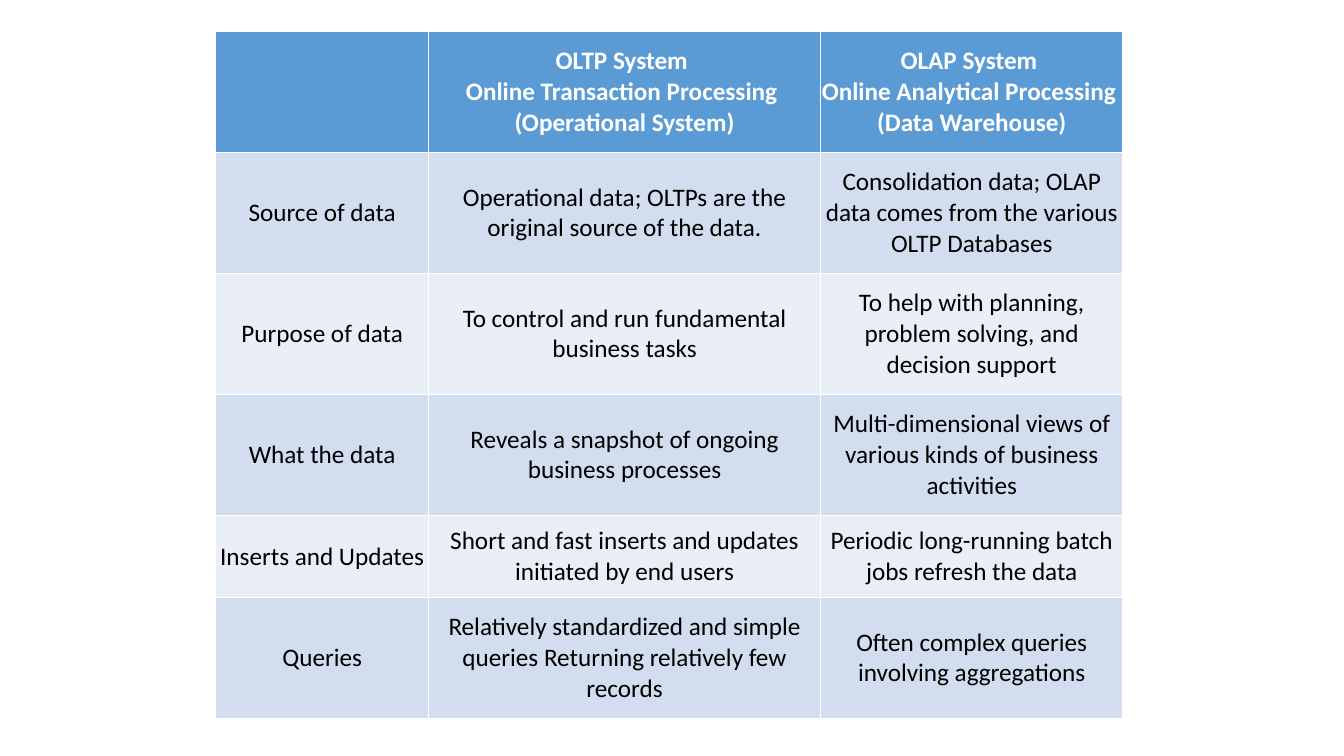
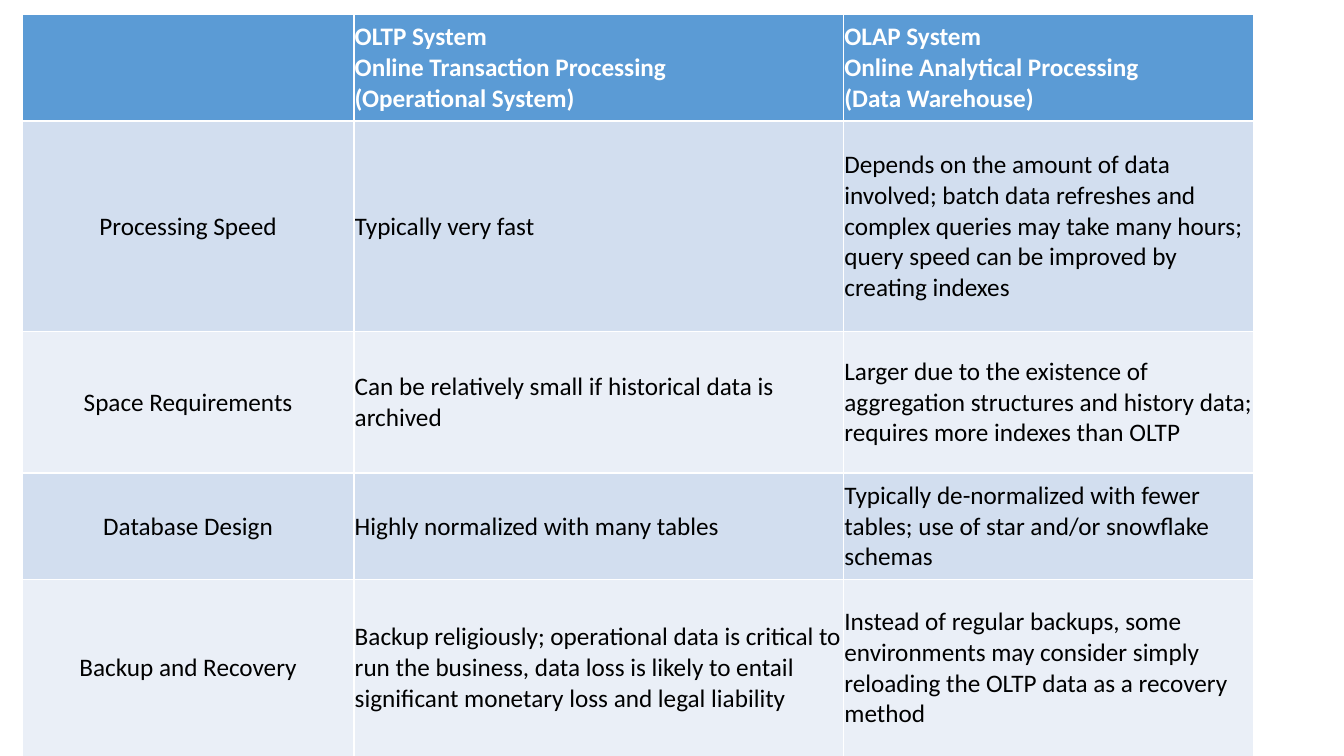
from pptx import Presentation
from pptx.dml.color import RGBColor
from pptx.enum.text import MSO_ANCHOR, PP_ALIGN
from pptx.util import Cm, Pt

LEFT, CENTER = PP_ALIGN.LEFT, PP_ALIGN.CENTER
MIDDLE = MSO_ANCHOR.MIDDLE
BLANK_LAYOUT = 6

# Shared look
HEADER_BLUE = RGBColor(0x5B, 0x9B, 0xD5)
BAND_DARK = RGBColor(0xD2, 0xDE, 0xEF)
BAND_LIGHT = RGBColor(0xEA, 0xEF, 0xF7)
WHITE = RGBColor(0xFF, 0xFF, 0xFF)
BLACK = RGBColor(0x00, 0x00, 0x00)
FONT = "Calibri"
TEXT_SIZE = Pt(18)
CELL_MARGIN = Cm(0.02)

# Shared header; \v is a line break inside the paragraph
HEADER = (
    "",
    "OLTP System \vOnline Transaction Processing \v(Operational System)",
    "OLAP System \vOnline Analytical Processing \v(Data Warehouse)",
)

DATA_ASPECTS = [
    ("Source of data",
     "Operational data; OLTPs are the original source of the data.",
     "Consolidation data; OLAP data comes from the various OLTP Databases"),
    ("Purpose of data",
     "To control and run fundamental business tasks",
     "To help with planning, problem solving, and decision support"),
    ("What the data",
     "Reveals a snapshot of ongoing business processes",
     "Multi-dimensional views of various kinds of business activities"),
    ("Inserts and Updates",
     "Short and fast inserts and updates initiated by end users",
     "Periodic long-running batch jobs refresh the data"),
    ("Queries",
     "Relatively standardized and simple queries Returning relatively few records",
     "Often complex queries involving aggregations"),
]

OPERATION_ASPECTS = [
    ("Processing Speed",
     "Typically very fast",
     "Depends on the amount of data involved; batch data refreshes and complex "
     "queries may take many hours; query speed can be improved by creating indexes"),
    ("Space Requirements",
     "Can be relatively small if historical data is archived",
     "Larger due to the existence of aggregation structures and history data; "
     "requires more indexes than OLTP"),
    ("Database Design",
     "Highly normalized with many tables",
     "Typically de-normalized with fewer tables; use of star and/or snowflake schemas"),
    ("Backup and Recovery",
     "Backup religiously; operational data is critical to run the business, "
     "data loss is likely to entail significant monetary loss and legal liability",
     "Instead of regular backups, some environments may consider simply "
     "reloading the OLTP data as a recovery method"),
]


def fill_cell(cell, text, band, is_header, align):
    """Write one cell: band colour, margins and text style."""
    cell.fill.solid()
    cell.fill.fore_color.rgb = band
    cell.vertical_anchor = MIDDLE
    cell.margin_left = cell.margin_right = CELL_MARGIN
    cell.margin_top = cell.margin_bottom = CELL_MARGIN
    cell.text_frame.text = text
    paragraph = cell.text_frame.paragraphs[0]
    paragraph.alignment = align
    paragraph.font.size = TEXT_SIZE
    for run in paragraph.runs:
        run.font.name = FONT
        run.font.size = TEXT_SIZE
        run.font.bold = is_header
        run.font.color.rgb = WHITE if is_header else BLACK


def band_color(row):
    if row == 0:
        return HEADER_BLUE
    return BAND_DARK if row % 2 else BAND_LIGHT


def add_comparison(prs, aspects, left, top, widths, heights, system_align):
    """Add a slide with one OLTP/OLAP table; sizes are in centimetres."""
    slide = prs.slides.add_slide(prs.slide_layouts[BLANK_LAYOUT])
    rows = [HEADER, *aspects]
    comparison = slide.shapes.add_table(
        len(rows), len(HEADER), Cm(left), Cm(top),
        Cm(sum(widths)), Cm(sum(heights))).table
    for column, width in zip(comparison.columns, widths):
        column.width = Cm(width)
    for row, height in zip(comparison.rows, heights):
        row.height = Cm(height)
    for r, texts in enumerate(rows):
        for c, text in enumerate(texts):
            align = system_align if c else CENTER
            fill_cell(comparison.cell(r, c), text, band_color(r), r == 0, align)


def main():
    prs = Presentation()
    prs.slide_width, prs.slide_height = Cm(33.87), Cm(19.05)

    # Data: source, purpose, content, updates and queries
    add_comparison(prs, DATA_ASPECTS, 5.44, 0.79,
                   widths=(5.36, 9.88, 7.62),
                   heights=(3.05, 3.05, 3.05, 3.05, 2.06, 3.05),
                   system_align=CENTER)

    # Operation: speed, space, design and backup
    add_comparison(prs, OPERATION_ASPECTS, 0.56, 0.36,
                   widths=(8.36, 12.34, 10.34),
                   heights=(2.69, 5.31, 3.56, 2.69, 4.45),
                   system_align=LEFT)

    prs.save("out.pptx")


if __name__ == "__main__":
    main()
